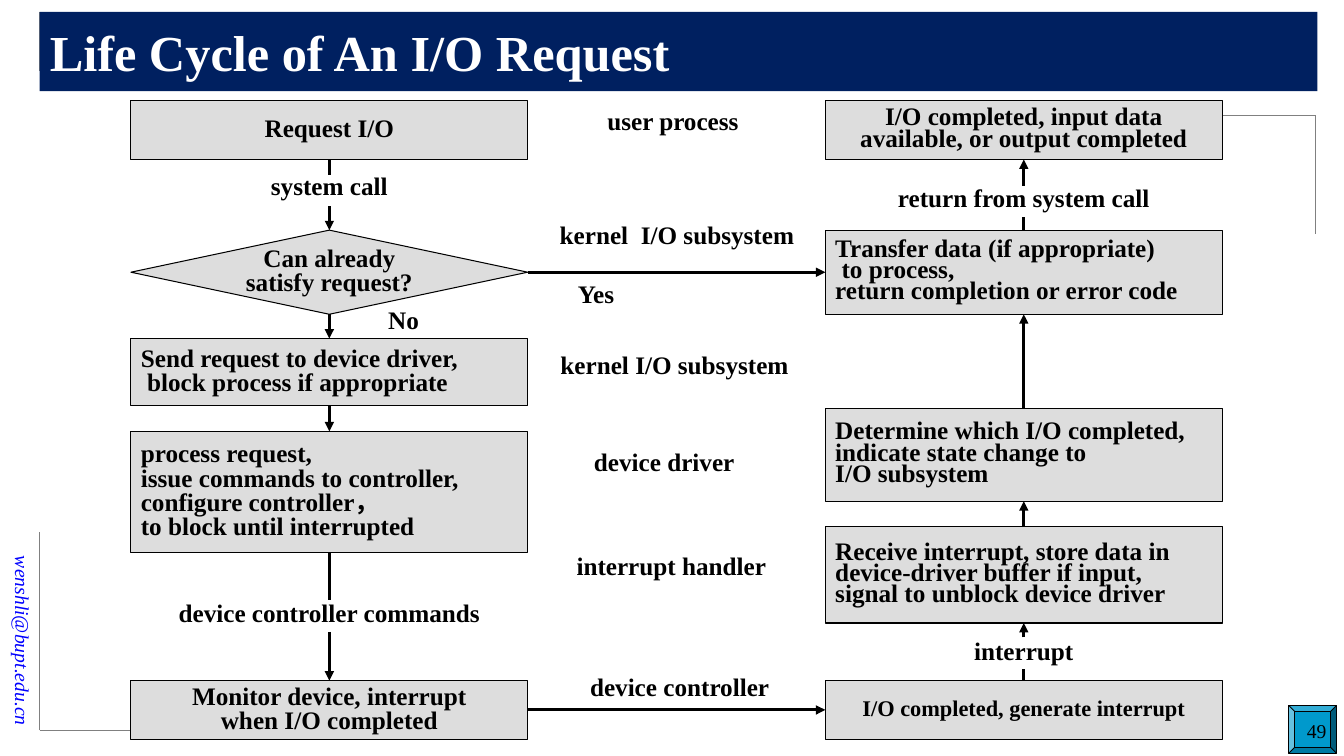
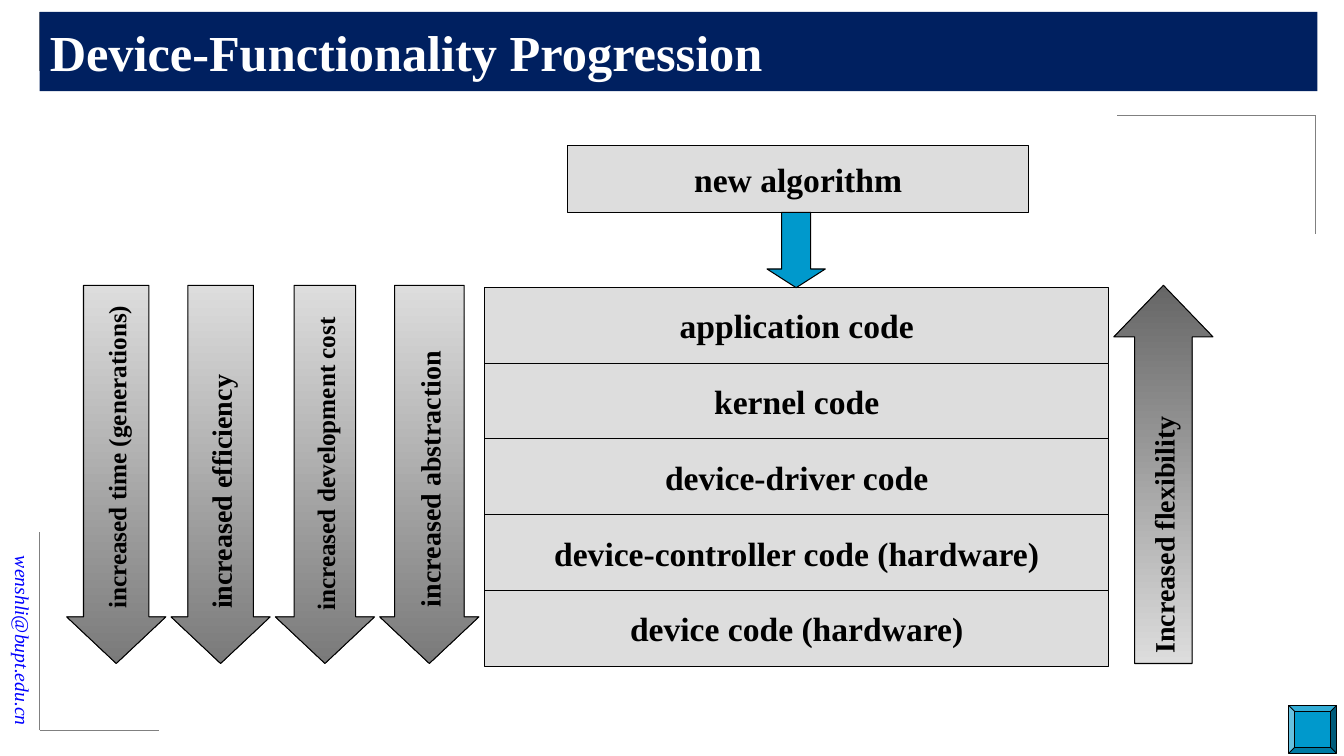
from lxml import etree
from pptx import Presentation
from pptx.dml.color import RGBColor
from pptx.enum.shapes import MSO_CONNECTOR, MSO_SHAPE
from pptx.enum.text import MSO_ANCHOR, MSO_AUTO_SIZE, PP_ALIGN
from pptx.oxml.ns import qn
from pptx.util import Cm, Pt

LEFT, CENTER, RIGHT = PP_ALIGN.LEFT, PP_ALIGN.CENTER, PP_ALIGN.RIGHT
PROCESS, DECISION = MSO_SHAPE.FLOWCHART_PROCESS, MSO_SHAPE.FLOWCHART_DECISION
RECTANGLE, BEVEL = MSO_SHAPE.RECTANGLE, MSO_SHAPE.BEVEL
UP_ARROW, DOWN_ARROW = MSO_SHAPE.UP_ARROW, MSO_SHAPE.DOWN_ARROW

FONT = "Times New Roman"
COLORS = {
    "band": "002060", "white": "FFFFFF", "black": "000000", "box": "DDDDDD",
    "accent": "0099CC", "frame": "808080", "email": "0000FF",
    "down_dark": "7A7A7A", "up_dark": "666666",
}
EMAIL = "wenshli@bupt.edu.cn"
# Corner point and the signed lengths of its two arms
FRAME_CORNERS = [(1, 0.3, 5, 1.5), (1, 18.4, 3, -5), (33.15, 2.9, -5, 3)]

# Flow chart: columns of (shape, top, height, alignment, line spacing, size, lines)
BOX_WIDTH = 10
COLUMN_LEFTS = [3.3, 20.8]
COLUMNS = [
    [
        (PROCESS, 2.54, 1.48, CENTER, 0.8, 18, ["Request I/O"]),
        (DECISION, 5.8, 2.12, CENTER, 0.8, 18, ["Can already", "satisfy request?"]),
        (PROCESS, 8.53, 1.7, LEFT, 0.8, 18,
         ["Send request to device driver,", " block process if appropriate"]),
        (PROCESS, 10.87, 3.05, LEFT, 0.8, 18,
         ["process request,", "issue commands to controller,",
          "configure controller，", "to block until interrupted"]),
        (PROCESS, 17.15, 1.48, CENTER, 0.8, 18,
         ["Monitor device, interrupt", "when I/O completed"]),
    ],
    [
        (PROCESS, 2.54, 1.48, CENTER, 0.7, 18,
         ["I/O completed, input data", "available, or output completed"]),
        (PROCESS, 5.8, 2.12, LEFT, 0.7, 18,
         ["Transfer data (if appropriate)", " to process,",
          "return completion or error code"]),
        (PROCESS, 10.29, 2.34, LEFT, 0.7, 18,
         ["Determine which I/O completed,", "indicate state change to",
          "I/O subsystem"]),
        (PROCESS, 13.28, 2.42, LEFT, 0.7, 18,
         ["Receive interrupt, store data in", "device-driver buffer if input,",
          "signal to unblock device driver"]),
        (PROCESS, 17.15, 1.48, CENTER, 0.8, 16,
         ["I/O completed, generate interrupt"]),
    ],
]
# (column, upper box) of a link: (label, centre y, line spacing)
LINK_LABELS = {
    (0, 0): ("system call", 4.8, 0.6),
    (0, 3): ("device controller commands", 15.52, 0.7),
    (1, 0): ("return from system call", 5.08, 0.6),
    (1, 3): ("interrupt", 16.46, 0.8),
}
LABEL_GAP = 0.8
CROSS_LINK_ROWS = [1, 4]
# (text, centre x, centre y)
STAGE_LABELS = [
    ("user process", 16.96, 3.1),
    ("kernel  I/O subsystem", 17.06, 5.97),
    ("kernel I/O subsystem", 17, 9.25),
    ("device driver", 16.74, 11.71),
    ("interrupt handler", 16.92, 14.33),
    ("device controller", 17.13, 17.37),
    ("Yes", 15.02, 7.47),
    ("No", 10.17, 8.13),
]

# Progression
CODE_LAYERS = ["application code", "kernel code", "device-driver code",
               "device-controller code (hardware)", "device code (hardware)"]
LAYER_LEFT, LAYER_TOP, LAYER_WIDTH, LAYER_HEIGHT = 12.22, 7.24, 15.72, 1.91
# (text, size, shaft width, head length)
INCREASES = [
    ("increased time (generations)", 18, 0.66, 0.47),
    ("increased efficiency", 20, 0.66, 0.47),
    ("increased development cost", 18, 0.62, 0.47),
    ("increased abstraction", 20, 0.7, 0.47),
]
ARROW_LEFT, ARROW_STEP = 1.68, 2.63


def color(name):
    return RGBColor.from_string(COLORS[name])


def write(shape, lines, size=18, align=CENTER, spacing=1.0, ink="black",
          bold=True, italic=False, wrap=True, anchor=MSO_ANCHOR.MIDDLE):
    frame = shape.text_frame
    frame.auto_size = MSO_AUTO_SIZE.NONE
    frame.word_wrap = wrap
    frame.vertical_anchor = anchor
    for index, line in enumerate(lines):
        paragraph = frame.add_paragraph() if index else frame.paragraphs[0]
        paragraph.alignment = align
        paragraph.line_spacing = spacing
        run = paragraph.add_run()
        run.text = line
        font = run.font
        font.name, font.size = FONT, Pt(size)
        font.bold, font.italic = bold, italic
        font.color.rgb = color(ink)


def add_box(slide, kind, left, top, width, height, fill="box"):
    shape = slide.shapes.add_shape(kind, Cm(left), Cm(top), Cm(width), Cm(height))
    shape.shadow.inherit = False
    shape.fill.solid()
    shape.fill.fore_color.rgb = color(fill)
    shape.line.color.rgb = color("black")
    shape.line.width = Pt(0.75)
    return shape


def add_text(slide, text, left, top, width, height, **style):
    box = slide.shapes.add_textbox(Cm(left), Cm(top), Cm(width), Cm(height))
    write(box, [text], **style)
    return box


def add_label(slide, text, center_x, center_y, spacing=0.8):
    add_text(slide, text, center_x - BOX_WIDTH / 2, center_y - 0.43,
             BOX_WIDTH, 0.86, spacing=spacing, wrap=False)


def add_line(slide, start, end, ink="black", width=2.25, arrow=False):
    line = slide.shapes.add_connector(
        MSO_CONNECTOR.STRAIGHT, *(Cm(value) for value in (*start, *end)))
    line.line.color.rgb = color(ink)
    line.line.width = Pt(width)
    if arrow:
        etree.SubElement(line.line._get_or_add_ln(), qn("a:tailEnd"), type="triangle")
    etree.SubElement(line._element.spPr, qn("a:effectLst"))


def add_base_slide(presentation, title_text, number=None):
    """Add a slide with the title band, corner frame, address and number button."""
    slide = presentation.slides.add_slide(presentation.slide_layouts[5])
    for x, y, across, down in FRAME_CORNERS:
        add_line(slide, (x, y), (x + across, y), "frame", 0.5)
        add_line(slide, (x, y), (x, y + down), "frame", 0.5)
    address = add_text(slide, EMAIL, -2.77, 14.76, 6.7, 0.86, size=14,
                       align=RIGHT, ink="email", bold=False, italic=True)
    address.rotation = 90

    title = slide.shapes.title
    title.left, title.top, title.width, title.height = Cm(1), Cm(0.3), Cm(32.2), Cm(2)
    title.fill.solid()
    title.fill.fore_color.rgb = color("band")
    write(title, [title_text], size=36, align=LEFT, ink="white")
    slide.shapes._spTree.append(title._element)

    add_box(slide, BEVEL, 32.48, 17.78, 1.2, 1.2, "accent")
    if number:
        add_text(slide, number, 30.86, 17.98, 2.82, 0.91, size=14, align=RIGHT,
                 bold=False, anchor=MSO_ANCHOR.TOP)
    return slide


def add_link(slide, x, start, end, label=None):
    """Draw a vertical arrow, broken where its label stands."""
    if label:
        text, center, spacing = label
        half = LABEL_GAP / 2 if end > start else -LABEL_GAP / 2
        add_line(slide, (x, start), (x, center - half))
        add_label(slide, text, x, center, spacing)
        start = center + half
    add_line(slide, (x, start), (x, end), arrow=True)


def build_life_cycle(presentation):
    slide = add_base_slide(presentation, "Life Cycle of An I/O Request", "49")
    for column, (left, boxes) in enumerate(zip(COLUMN_LEFTS, COLUMNS)):
        for kind, top, height, align, spacing, size, lines in boxes:
            shape = add_box(slide, kind, left, top, BOX_WIDTH, height)
            write(shape, lines, size, align, spacing)
        for row, (upper, lower) in enumerate(zip(boxes, boxes[1:])):
            ends = [upper[1] + upper[2], lower[1]]
            if column == 1:
                ends.reverse()
            add_link(slide, left + BOX_WIDTH / 2, *ends, LINK_LABELS.get((column, row)))
    for row in CROSS_LINK_ROWS:
        _, top, height, *_ = COLUMNS[0][row]
        y = top + height / 2
        add_line(slide, (COLUMN_LEFTS[0] + BOX_WIDTH, y), (COLUMN_LEFTS[1], y), arrow=True)
    for label in STAGE_LABELS:
        add_label(slide, *label)


def add_trend_arrow(slide, kind, left, text, size, shaft, head, shades, inset):
    arrow = add_box(slide, kind, left, 7.19, 2.5, 9.53)
    arrow.adjustments[0], arrow.adjustments[1] = shaft, head
    arrow.fill.gradient()
    arrow.fill.gradient_angle = 270
    for stop, shade in zip(arrow.fill.gradient_stops, shades):
        stop.color.rgb = color(shade)
    write(arrow, [text], size, LEFT)
    arrow.text_frame.margin_bottom = Cm(inset)
    arrow.text_frame._txBody.bodyPr.set("vert", "vert270")


def build_progression(presentation):
    slide = add_base_slide(presentation, "Device-Functionality Progression")
    write(add_box(slide, RECTANGLE, 14.3, 3.66, 11.63, 1.7), ["new algorithm"], 24)
    for index, layer in enumerate(CODE_LAYERS):
        box = add_box(slide, RECTANGLE, LAYER_LEFT, LAYER_TOP + index * LAYER_HEIGHT,
                      LAYER_WIDTH, LAYER_HEIGHT)
        write(box, [layer], 24)
    pointer = add_box(slide, DOWN_ARROW, 19.33, 5.35, 1.47, 1.9, "accent")
    pointer.adjustments[0], pointer.adjustments[1] = 0.5, 0.32
    for index, increase in enumerate(INCREASES):
        add_trend_arrow(slide, DOWN_ARROW, ARROW_LEFT + index * ARROW_STEP, *increase,
                        ("box", "down_dark"), 0.6)
    add_trend_arrow(slide, UP_ARROW, 28.07, "Increased flexibility", 20, 0.58, 0.52,
                    ("up_dark", "box"), 0.25)


def main():
    presentation = Presentation()
    presentation.slide_width, presentation.slide_height = Cm(33.87), Cm(19.05)
    build_life_cycle(presentation)
    build_progression(presentation)
    presentation.save("out.pptx")


if __name__ == "__main__":
    main()
